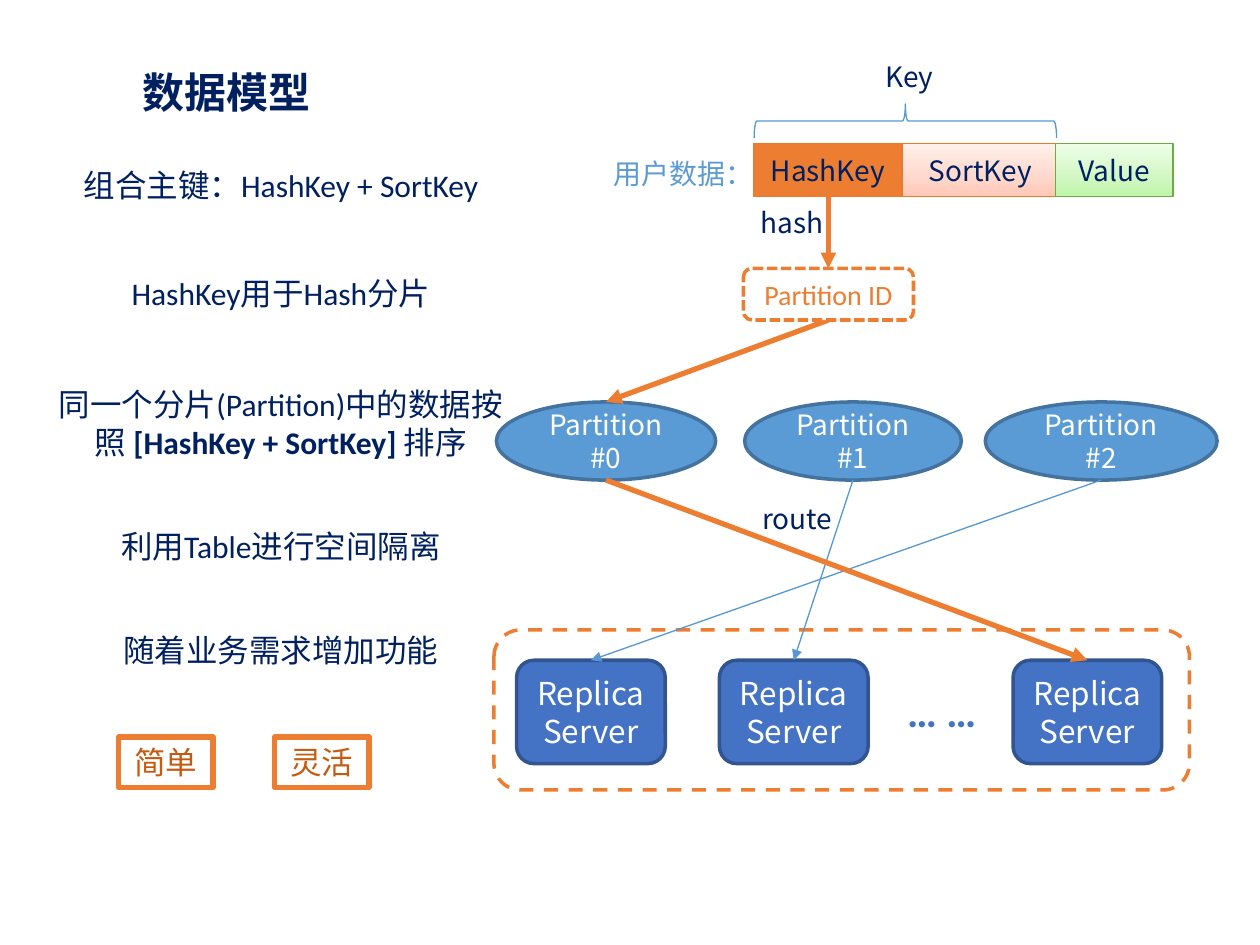
from copy import deepcopy

from lxml import etree
from pptx import Presentation
from pptx.dml.color import RGBColor
from pptx.enum.dml import MSO_LINE
from pptx.enum.shapes import MSO_CONNECTOR, MSO_SHAPE
from pptx.enum.text import MSO_ANCHOR, PP_ALIGN
from pptx.oxml.ns import qn
from pptx.util import Inches, Pt

RECT, ROUND = MSO_SHAPE.RECTANGLE, MSO_SHAPE.ROUNDED_RECTANGLE
OVAL, BRACE = MSO_SHAPE.OVAL, MSO_SHAPE.LEFT_BRACE
DASH, SHORT_DASH = MSO_LINE.DASH, MSO_LINE.SQUARE_DOT
LEFT, CENTER = PP_ALIGN.LEFT, PP_ALIGN.CENTER
TOP, MIDDLE = MSO_ANCHOR.TOP, MSO_ANCHOR.MIDDLE
LATIN, SANS = "Calibri", "Noto Sans CJK SC"
COLORS = {
    "navy": "002060", "orange": "ED7D31", "orange_edge": "EC792B", "rust": "C55A11",
    "sky": "5B9BD5", "sky_line": "5698D3", "sky_edge": "43739E",
    "blue": "4472C4", "blue_edge": "325491", "green_edge": "6DAC43", "white": "FFFFFF",
}
PINK_FADE = ((0, "FFC7B6"), (0.35, "FFD7CB"), (1, "FFF0EB"))
GREEN_FADE = ((0, "BEF5A7"), (0.35, "D1F7C2"), (1, "EDFDE7"))


def rgb(name):
    return RGBColor.from_string(COLORS[name])


def write(shape, paragraphs, size=16, color="navy", font=SANS, align=CENTER,
          anchor=MIDDLE, bold=False, inset=None, spacing=None):
    """Fill a shape with paragraphs; each is a string or a list of (text, bold)."""
    frame = shape.text_frame
    frame.word_wrap = True
    frame.vertical_anchor = anchor
    if inset is not None:
        frame.margin_left = frame.margin_right = Inches(inset)
        frame.margin_top = frame.margin_bottom = Inches(inset)
    if spacing is None and font == SANS:
        spacing = Pt(1.2 * size)
    for index, content in enumerate(paragraphs):
        paragraph = frame.paragraphs[0] if index == 0 else frame.add_paragraph()
        paragraph.alignment = align
        paragraph.space_before = Pt(0)
        paragraph.line_spacing = spacing
        runs = [(content, bold)] if isinstance(content, str) else content
        for text, is_bold in runs:
            run = paragraph.add_run()
            run.text = text
            run.font.name = font
            run.font.size = Pt(size)
            run.font.bold = is_bold
            run.font.color.rgb = rgb(color)
    return frame


def add_label(slide, text, left, top, width, height, **style):
    label = slide.shapes.add_textbox(Inches(left), Inches(top), Inches(width), Inches(height))
    return write(label, [text], **{"align": LEFT, "anchor": TOP, **style})


def fade(shape, stops):
    """Three-stop gradient running from bottom to top."""
    shape.fill.gradient()
    shape.fill.gradient_angle = 90
    stop_list = shape._element.spPr.find(qn("a:gradFill")).find(qn("a:gsLst"))
    stop_list.insert(1, deepcopy(stop_list[0]))
    for stop, (position, color) in zip(shape.fill.gradient_stops, stops):
        stop.position = position
        stop.color.rgb = RGBColor.from_string(color)


def add_box(slide, kind, left, top, width, height, fill, line, weight, dash=None):
    box = slide.shapes.add_shape(kind, Inches(left), Inches(top), Inches(width), Inches(height))
    box.shadow.inherit = False
    if fill is None:
        box.fill.background()
    elif isinstance(fill, tuple):
        fade(box, fill)
    else:
        box.fill.solid()
        box.fill.fore_color.rgb = rgb(fill)
    box.line.color.rgb = rgb(line)
    box.line.width = Pt(weight)
    if dash is not None:
        box.line.dash_style = dash
    return box


def add_arrow(slide, start, end, color="orange", weight=3):
    arrow = slide.shapes.add_connector(
        MSO_CONNECTOR.STRAIGHT, *(Inches(value) for value in (*start, *end)))
    arrow.line.color.rgb = rgb(color)
    arrow.line.width = Pt(weight)
    etree.SubElement(arrow.line._get_or_add_ln(), qn("a:tailEnd"), type="triangle")
    etree.SubElement(arrow._element.spPr, qn("a:effectLst"))


def place_title(slide, left, top, width, height):
    title = slide.shapes.title
    title.left, title.top = Inches(left), Inches(top)
    title.width, title.height = Inches(width), Inches(height)
    write(title, ["数据模型"], size=24, font=LATIN, bold=True, anchor=TOP,
          inset=0.05, spacing=0.9)


def add_features(slide, left, top, width, height):
    """Centred statements on the left side."""
    features = [
        "组合主键：HashKey + SortKey",
        "HashKey用于Hash分片",
        [("同一个分片(Partition)中的数据按照 ", False),
         ("[HashKey + SortKey] ", True), ("排序", False)],
        "利用Table进行空间隔离",
        "随着业务需求增加功能",
    ]
    box = slide.shapes.add_textbox(Inches(left), Inches(top), Inches(width), Inches(height))
    frame = write(box, features, size=18, font=LATIN, anchor=TOP, inset=0.05)
    layout = zip(frame.paragraphs, (0, 40, 42, 40, 40), (0.9, 1, 1, 0.9, 0.9))
    for paragraph, gap, spacing in layout:
        paragraph.space_before = Pt(gap)
        paragraph.line_spacing = spacing


def add_tags(slide, left, top, pitch):
    for index, tag in enumerate(("简单", "灵活")):
        box = add_box(slide, RECT, left + index * pitch, top, 0.75, 0.4, "white", "orange", 3)
        write(box, [tag], size=18, color="rust", font=LATIN, inset=0.05)


def add_record(slide, left, top, height):
    """User data row with the brace that spans both key cells."""
    cells = (
        ("HashKey", 0, 1.18, "orange", "orange_edge"),
        ("SortKey", 1.18, 1.24, PINK_FADE, "orange_edge"),
        ("Value", 2.4, 0.93, GREEN_FADE, "green_edge"),
    )
    for text, offset, width, fill, line in cells:
        write(add_box(slide, RECT, left + offset, top, width, height, fill, line, 0.75), [text])
    add_label(slide, "用户数据：", left - 1.21, top + 0.05, 1.42, 0.37, color="sky", font=LATIN)
    brace = add_box(slide, BRACE, left + 1.07, top - 1.38, 0.27, 2.4, None, "sky_line", 0.75)
    brace.rotation = 90
    add_label(slide, "Key", left + 0.95, top - 0.72, 0.7, 0.37)


def add_cluster(slide, left, top, width, height):
    """Dashed frame with its servers; returns the top centre of each server."""
    add_box(slide, ROUND, left, top, width, height, "white", "orange", 2, DASH)
    server_width, server_top = 1.18, top + 0.24
    anchors = []
    for offset in (0.18, 1.79, 4.12):
        server = add_box(slide, ROUND, left + offset, server_top, server_width, 0.82,
                         "blue", "blue_edge", 2)
        write(server, ["Replica", "Server"], size=18, color="white")
        anchors.append((left + offset + server_width / 2, server_top))
    add_label(slide, "… …", left + 3.18, top + 0.39, 0.81, 0.5,
              size=24, color="blue", font=LATIN, bold=True)
    return anchors


def add_partitions(slide, left, top, height):
    """Row of partitions; returns the centre x of each one."""
    centers = []
    for index, (offset, width) in enumerate(((0, 1.74), (1.97, 1.72), (3.88, 1.84))):
        oval = add_box(slide, OVAL, left + offset, top, width, height, "sky", "sky_edge", 2)
        write(oval, [f"Partition #{index}"], color="white")
        centers.append(left + offset + width / 2)
    return centers


def add_hashing(slide, left, top, width, height, source_y, target):
    """Partition ID box with the arrows into and out of it."""
    center = left + width / 2
    add_arrow(slide, (center, top + height), target)
    add_label(slide, "hash", left + 0.04, source_y + 0.02, 0.95, 0.37)
    add_arrow(slide, (center, source_y), (center, top))
    box = add_box(slide, ROUND, left, top, width, height, "white", "orange", 2, SHORT_DASH)
    write(box, ["Partition ID"], color="orange", font=LATIN, inset=0.05)


def add_routes(slide, centers, bottom, servers):
    first, second, third = ((x, bottom) for x in centers)
    add_arrow(slide, second, servers[1], "sky_line", 0.75)
    add_arrow(slide, third, servers[0], "sky_line", 0.75)
    add_arrow(slide, first, servers[2])
    add_label(slide, "route", 5.95, bottom + 0.12, 0.95, 0.37)


def main():
    deck = Presentation()
    deck.slide_width, deck.slide_height = Inches(10), Inches(7.5)
    slide = deck.slides.add_slide(deck.slide_layouts[5])
    # Left side
    place_title(slide, 0.39, 0.52, 2.82, 0.28)
    add_features(slide, 0.35, 1.3, 3.76, 4.25)
    add_tags(slide, 0.94, 5.85, 1.24)
    # Data flow on the right side
    add_record(slide, 5.98, 1.14, 0.42)
    servers = add_cluster(slide, 3.92, 5, 5.52, 1.27)
    centers = add_partitions(slide, 3.94, 3.19, 0.62)
    add_hashing(slide, 5.9, 2.13, 1.35, 0.41, 1.56, (centers[0], 3.19))
    add_routes(slide, centers, 3.81, servers)
    deck.save("out.pptx")


if __name__ == "__main__":
    main()
